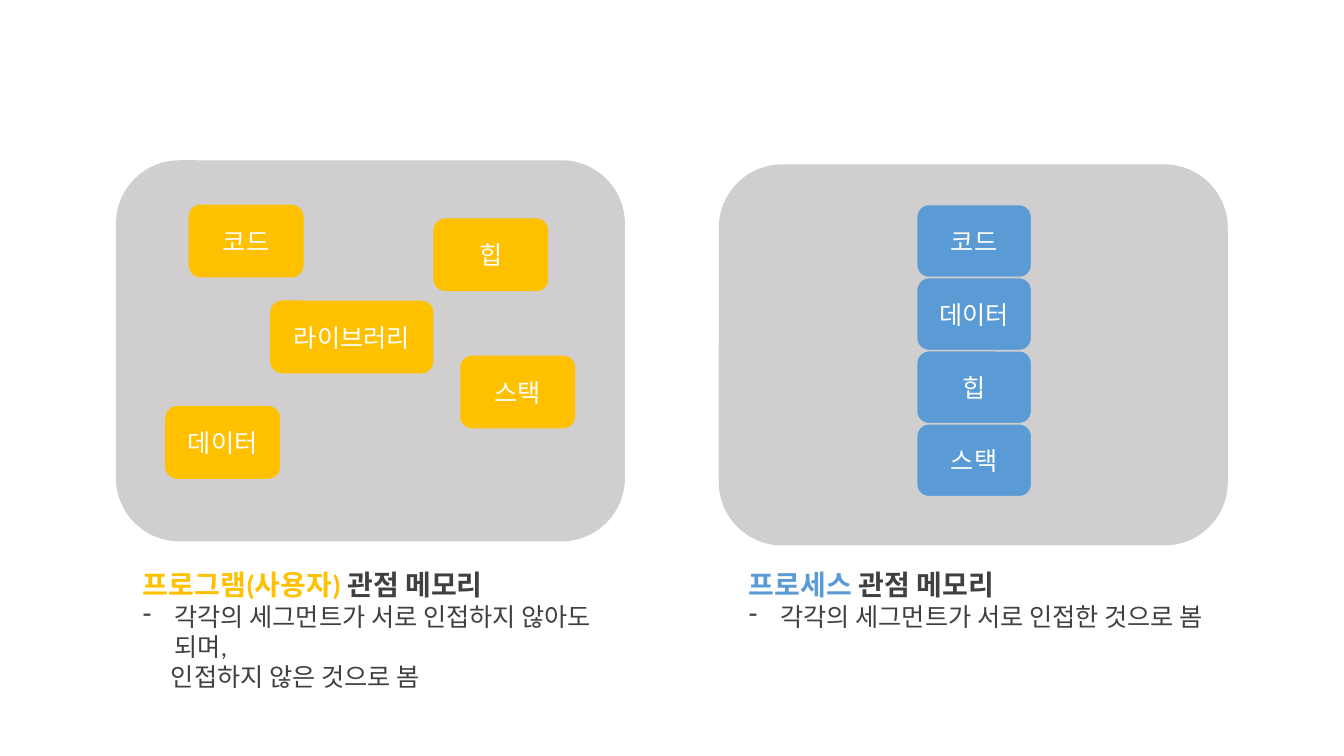
from dataclasses import dataclass

from lxml import etree
from pptx import Presentation
from pptx.dml.color import RGBColor
from pptx.enum.shapes import MSO_SHAPE
from pptx.enum.text import MSO_ANCHOR, MSO_AUTO_SIZE, PP_ALIGN
from pptx.oxml.ns import qn
from pptx.util import Pt

ROUNDED = MSO_SHAPE.ROUNDED_RECTANGLE
MIDDLE = MSO_ANCHOR.MIDDLE
FIT_SHAPE = MSO_AUTO_SIZE.SHAPE_TO_FIT_TEXT
CENTER = PP_ALIGN.CENTER

COLORS = {
    "panel": "D0CECE",
    "program": "FFC000",
    "process": "5B9BD5",
    "label": "FFFFFF",
    "body": "404040",
}
FORMATS = {
    "label": {"name": "Calibri", "size": Pt(18)},
    "heading": {"name": "Calibri", "size": Pt(20), "bold": True},
    "body": {"name": "Calibri", "size": Pt(18), "bold": False},
}
PANEL_WIDTH, PANEL_HEIGHT = 363.6, 272.2
SEGMENT_WIDTH, SEGMENT_HEIGHT = 82, 52
STACK_LEFT, STACK_TOP, STACK_STEP = 654.8, 146.2, 52.2
CAPTION_TOP = 401.8


@dataclass
class Block:
    left: float
    top: float
    color: str
    text: str = ""
    width: float = SEGMENT_WIDTH
    height: float = SEGMENT_HEIGHT
    outline: str = ""


@dataclass
class Span:
    text: str
    style: str
    color: str


@dataclass
class Line:
    spans: list[Span]
    margin: float = 0
    bullet: str = ""


@dataclass
class Caption:
    left: float
    height: float
    lines: list[Line]


def add_span(para, span: Span) -> None:
    run = para.add_run()
    run.text = span.text
    for name, value in FORMATS[span.style].items():
        setattr(run.font, name, value)
    run.font.color.rgb = RGBColor.from_string(COLORS[span.color])


def add_block(page, block: Block) -> None:
    box = page.shapes.add_shape(ROUNDED, Pt(block.left), Pt(block.top),
                                Pt(block.width), Pt(block.height))
    box.shadow.inherit = False
    box.fill.solid()
    box.fill.fore_color.rgb = RGBColor.from_string(COLORS[block.color])
    if block.outline:
        box.line.color.rgb = RGBColor.from_string(COLORS[block.outline])
        box.line.width = Pt(1)
    else:
        box.line.fill.background()
    if block.text:
        box.text_frame.vertical_anchor = MIDDLE
        para = box.text_frame.paragraphs[0]
        para.alignment = CENTER
        add_span(para, Span(block.text, "label", "label"))


def indent(para, line: Line) -> None:
    properties = para._p.get_or_add_pPr()
    properties.set("marL", str(Pt(line.margin)))
    if line.bullet:
        properties.set("indent", str(-Pt(line.margin)))
        etree.SubElement(properties, qn("a:buChar")).set("char", line.bullet)


def add_caption(page, caption: Caption) -> None:
    box = page.shapes.add_textbox(Pt(caption.left), Pt(CAPTION_TOP),
                                  Pt(PANEL_WIDTH), Pt(caption.height))
    frame = box.text_frame
    frame.word_wrap = True
    frame.auto_size = FIT_SHAPE
    for index, line in enumerate(caption.lines):
        para = frame.add_paragraph() if index else frame.paragraphs[0]
        indent(para, line)
        for span in line.spans:
            add_span(para, span)


deck = Presentation()
deck.slide_width, deck.slide_height = Pt(960), Pt(540)
page = deck.slides.add_slide(deck.slide_layouts[6])

# Memory panels
panels = [
    Block(left, top, "panel", width=PANEL_WIDTH, height=PANEL_HEIGHT)
    for left, top in ((82.8, 114.5), (513.4, 117.4))
]

# Scattered segments of the program view
scattered = [
    Block(134.8, 146.2, "program", "코드"),
    Block(309.6, 156, "program", "힙"),
    Block(193, 214.7, "program", "라이브러리", width=116.6),
    Block(118, 290, "program", "데이터"),
    Block(328.8, 254, "program", "스택"),
]

# Adjacent segments of the process view
stacked = [
    Block(STACK_LEFT, STACK_TOP + index * STACK_STEP, "process", name, outline="panel")
    for index, name in enumerate(("코드", "데이터", "힙", "스택"))
]

for block in panels + scattered + stacked:
    add_block(page, block)

# Captions below the panels
captions = [
    Caption(95, 75, [
        Line([Span("프로그램(사용자) ", "heading", "program"),
              Span("관점 메모리", "heading", "body")]),
        Line([Span("각각의 세그먼트가 서로 인접하지 않아도 되며,", "body", "body")], 22.5, "-"),
        Line([Span("인접하지 않은 것으로 봄", "body", "body")], 20),
    ]),
    Caption(527.8, 53.3, [
        Line([Span("프로세스", "heading", "process"),
              Span(" 관점 메모리", "heading", "body")]),
        Line([Span("각각의 세그먼트가 서로 인접한 것으로 봄", "body", "body")], 22.5, "-"),
    ]),
]
for caption in captions:
    add_caption(page, caption)

deck.save("out.pptx")
